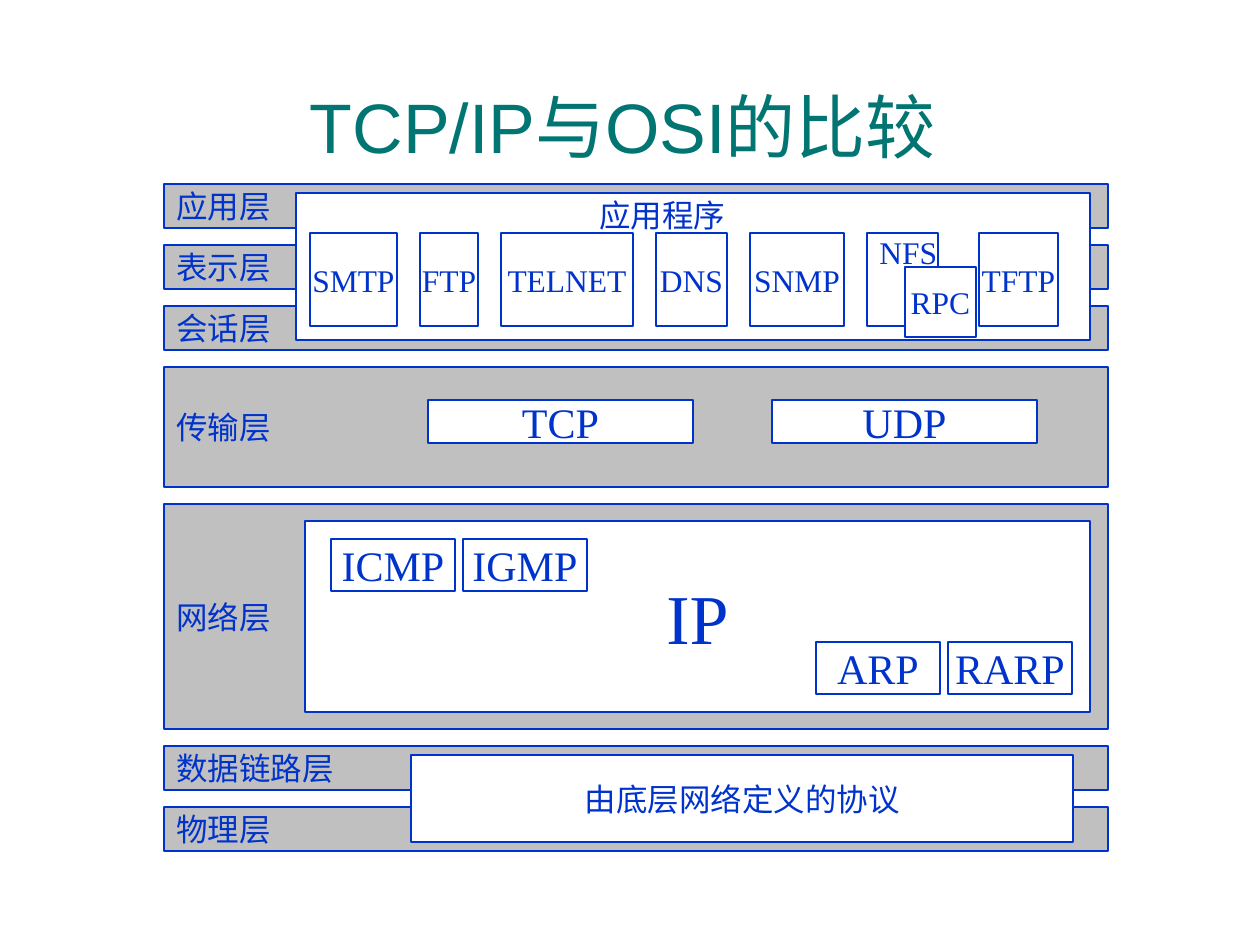
"""Build a slide comparing the TCP/IP protocols with the OSI layers."""
from pptx import Presentation
from pptx import util as u
from pptx.dml import color
from pptx.enum import shapes, text

PX = 914400 / 126
BLUE, GREY, WHITE, TEAL = "0033CC", "C0C0C0", "FFFFFF", "007572"
CENTER, LEFT = text.PP_ALIGN.CENTER, text.PP_ALIGN.LEFT


def write(shape, label, size, align=CENTER, font="Times New Roman", ink=BLUE):
    frame = shape.text_frame
    frame.word_wrap = shape.is_placeholder
    frame.vertical_anchor = text.MSO_ANCHOR.MIDDLE
    paragraph = frame.paragraphs[0]
    paragraph.text = label
    paragraph.alignment = align
    paragraph.font.name = font
    paragraph.font.size = u.Pt(size)
    paragraph.font.color.rgb = color.RGBColor.from_string(ink)


def add_box(left, top, width, height, label="", size=18, fill=WHITE, align=CENTER):
    box = slide.shapes.add_shape(
        shapes.MSO_SHAPE.RECTANGLE,
        *(round(length * PX) for length in (left, top, width, height)))
    box.shadow.inherit = False
    box.fill.solid()
    box.fill.fore_color.rgb = color.RGBColor.from_string(fill)
    box.line.color.rgb = color.RGBColor.from_string(BLUE)
    box.line.width = u.Pt(0.75)
    if label:
        write(box, label, size, align)
    return box


presentation = Presentation()
presentation.slide_width = round(1260 * PX)
presentation.slide_height = round(945 * PX)
slide = presentation.slides.add_slide(presentation.slide_layouts[5])

title = slide.shapes.title
title.left, title.top, title.width, title.height = (
    round(length * PX) for length in (79, 96, 1103, 59))
write(title, "TCP/IP与OSI的比较 ", 40, font="Arial", ink=TEAL)

layer_top = 184
for layer, height in [("应用层", 44), ("表示层", 44), ("会话层", 44), ("传输层", 120),
                      ("网络层", 225), ("数据链路层", 44), ("物理层", 44)]:
    add_box(164, layer_top, 944, height, layer, fill=GREY, align=LEFT)
    layer_top += height + 17

add_box(296, 193, 794, 147)
application_left = 310
for application, width in [("SMTP", 87), ("FTP", 58), ("TELNET", 132),
                           ("DNS", 71), ("SNMP", 94)]:
    add_box(application_left, 233, width, 93, application)
    application_left += width + 23

nfs = add_box(application_left, 233, 71, 93, "NFS", align=LEFT)
nfs.text_frame.vertical_anchor = text.MSO_ANCHOR.TOP
nfs.text_frame.margin_top = 0
add_box(979, 233, 79, 93, "TFTP")
add_box(905, 267, 71, 70, "RPC")

for left, protocol in [(428, "TCP"), (772, "UDP")]:
    add_box(left, 400, 265, 43, protocol, 24)

add_box(305, 521, 785, 191, "IP", 40)
for left, top, protocol in [(331, 539, "ICMP"), (463, 539, "IGMP"),
                            (816, 642, "ARP"), (948, 642, "RARP")]:
    add_box(left, top, 124, 52, protocol, 24)

add_box(411, 755, 662, 87, "由底层网络定义的协议")

caption = slide.shapes.add_textbox(
    *(round(length * PX) for length in (587, 190, 151, 50)))
write(caption, "应用程序", 18)

presentation.save("out.pptx")
